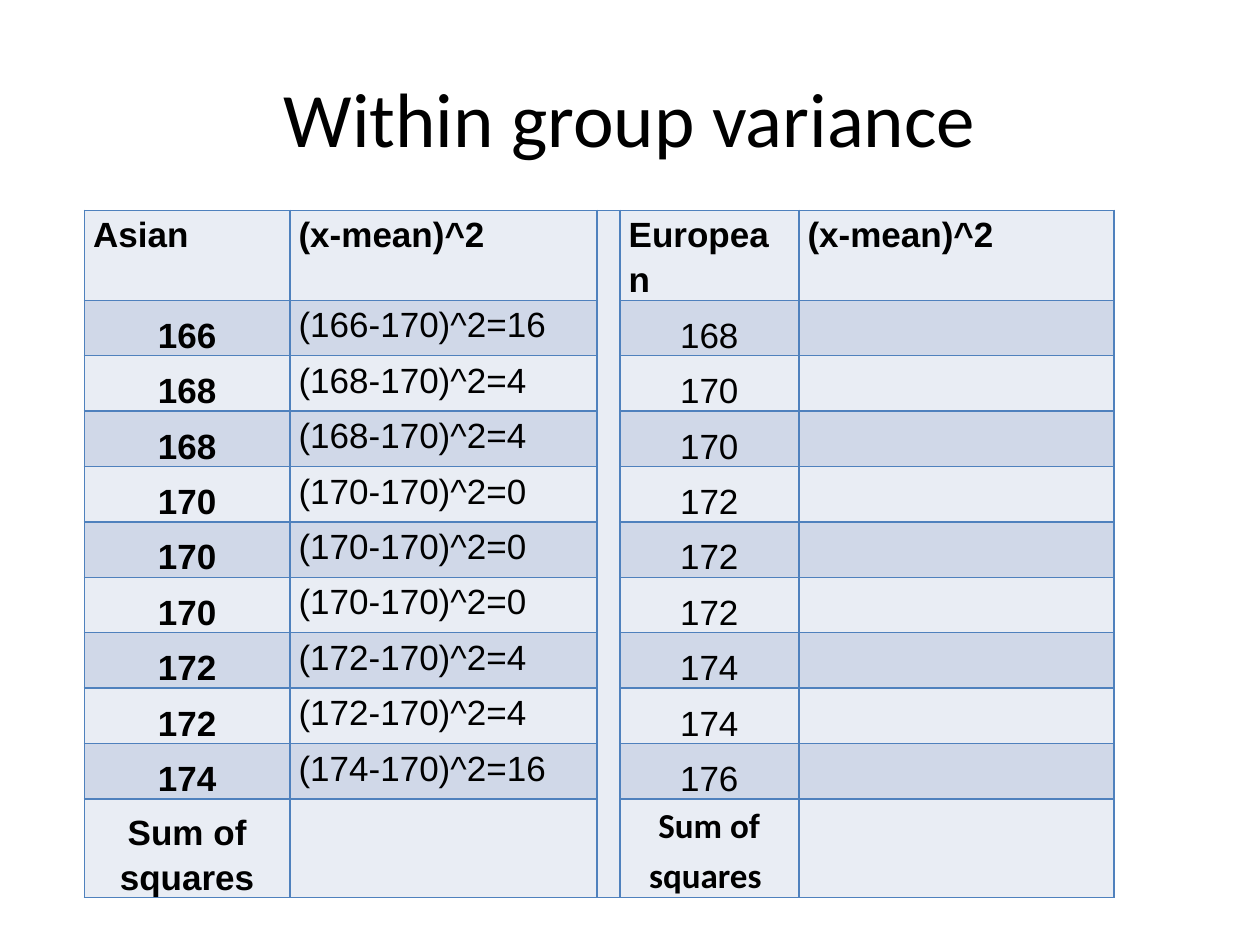
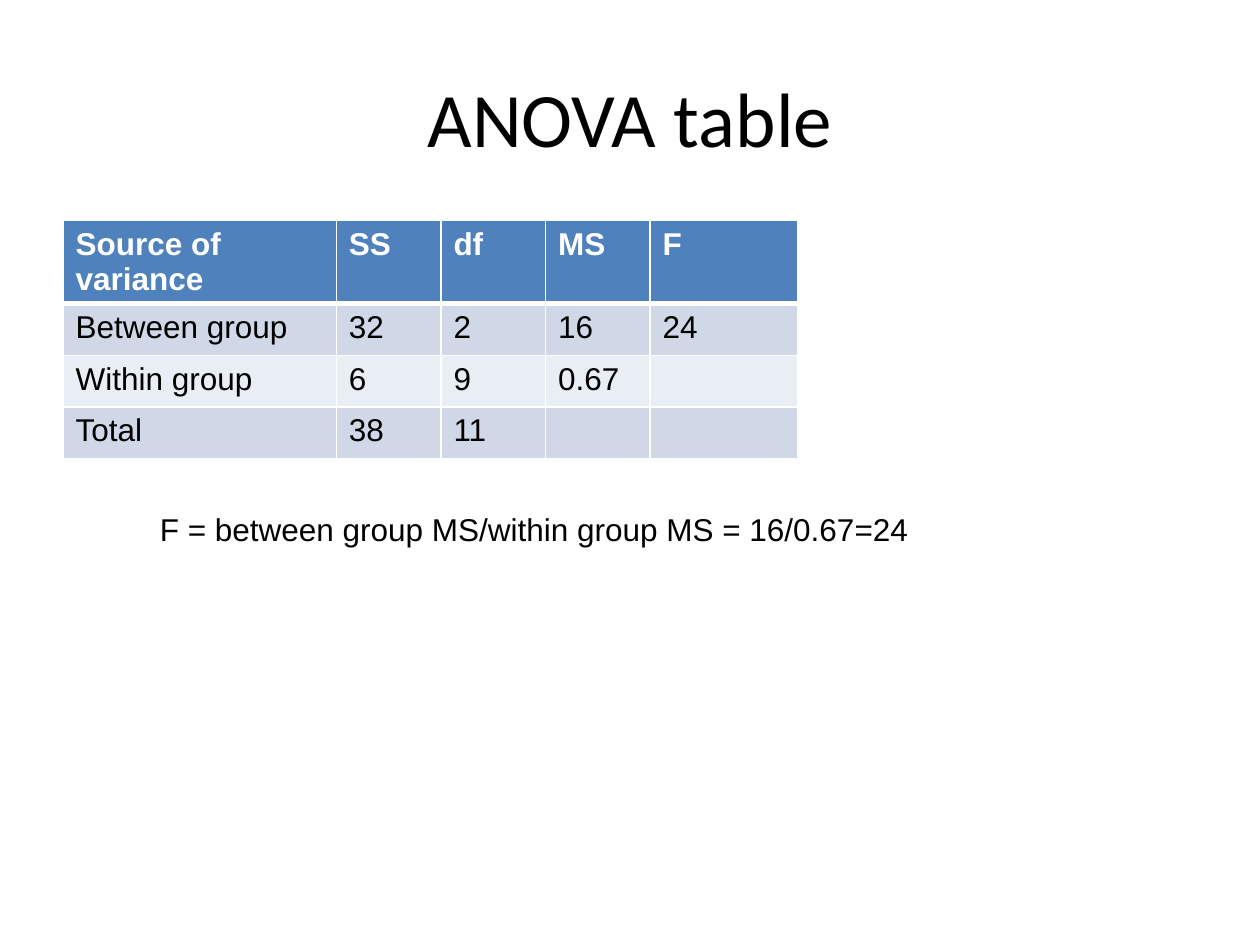
from lxml import etree
from pptx import Presentation
from pptx import util as u
from pptx.dml.color import RGBColor
from pptx.enum import text
from pptx.oxml.ns import qn

COLORS = {
    "ink": "000000",
    "paper": "FFFFFF",
    "accent": "4F81BD",
    "band": "D0D8E8",
    "light": "E9EDF4",
}
WIDTH, HEIGHT = 10, 7.5
MARGIN = 0.05 * WIDTH

deck = Presentation()
deck.slide_width, deck.slide_height = u.Inches(WIDTH), u.Inches(HEIGHT)


def style_font(paragraph, size, color="ink", bold=False, face="Arial"):
    font = paragraph.font
    font.size, font.bold, font.name = u.Pt(size), bold, face
    font.color.rgb = RGBColor.from_string(COLORS[color])


def paint_cell(cell, fill, line, top=1, bottom=1):
    """Fill a cell and draw its four borders, with widths in points."""
    cell.fill.solid()
    cell.fill.fore_color.rgb = RGBColor.from_string(COLORS[fill])
    properties = cell._tc.get_or_add_tcPr()
    sides = {"a:lnL": 1, "a:lnR": 1, "a:lnT": top, "a:lnB": bottom}
    for place, (side, width) in enumerate(sides.items()):
        border = etree.Element(qn(side), w=str(u.Pt(width)))
        solid = etree.SubElement(border, qn("a:solidFill"))
        etree.SubElement(solid, qn("a:srgbClr"), val=COLORS[line])
        properties.insert(place, border)


# Rows of both tables
asian = [166, 168, 168, 170, 170, 170, 172, 172, 174]
european = [168, 170, 170, 172, 172, 172, 174, 174, 176]
asian_mean = sum(asian) // len(asian)
deviations = [["Asian", "(x-mean)^2", "", "European", "(x-mean)^2"]]
for a, e in zip(asian, european):
    square = f"({a}-{asian_mean})^2={(a - asian_mean) ** 2}"
    deviations.append([str(a), square, "", str(e), ""])
deviations.append(["Sum of squares", "", "", "Sum of squares ", ""])

anova = [
    ["Source of variance", "SS", "df", "MS", "F"],
    ["Between group", "32", "2", "16", "24"],
    ["Within group", "6", "9", "0.67", ""],
    ["Total", "38", "11", "", ""],
]

pages = [
    ("Within group variance", deviations, (0.67, 1.67),
     [1.63, 2.44, 0.18, 1.42, 2.5], [0.41] + [0.44] * 9 + [0.77]),
    ("ANOVA table", anova, (MARGIN, 1.75),
     [2.17, 0.83, 0.83, 0.83, 1.17], [0.41] * 4),
]

# Titles and empty grids
slides, tables = [], []
for heading, rows, (left, top), widths, heights in pages:
    slide = deck.slides.add_slide(deck.slide_layouts[5])
    title = slide.shapes.title
    title.left, title.top = u.Inches(MARGIN), u.Inches(0.04 * HEIGHT)
    title.width, title.height = u.Inches(WIDTH - 2 * MARGIN), u.Inches(HEIGHT / 6)
    title.text_frame.text = heading
    title.text_frame.vertical_anchor = text.MSO_ANCHOR.MIDDLE
    title.text_frame.paragraphs[0].alignment = text.PP_ALIGN.CENTER
    style_font(title.text_frame.paragraphs[0], 44, face="Calibri")

    table = slide.shapes.add_table(
        len(rows), len(widths), u.Inches(left), u.Inches(top),
        u.Inches(sum(widths)), u.Inches(sum(heights))).table
    table.first_row = table.horz_banding = False
    for column, width in zip(table.columns, widths):
        column.width = u.Inches(width)
    for row, height in zip(table.rows, heights):
        row.height = u.Inches(height)
    slides.append(slide)
    tables.append(table)

# Squared deviations within each group
deviation_table, anova_table = tables
last = len(deviations) - 1
for r, row in enumerate(deviations):
    for c, words in enumerate(row):
        cell = deviation_table.cell(r, c)
        paint_cell(cell, "band" if r % 2 and c != 2 else "light", "accent")
        cell.margin_left = cell.margin_right = u.Inches(0.07)
        cell.margin_top = cell.margin_bottom = 0
        if not words:
            continue
        cell.text = words
        paragraph = cell.text_frame.paragraphs[0]
        paragraph.line_spacing = 1.15
        bold = c == 0 or r in (0, last)
        face = "Calibri" if (r, c) == (last, 3) else "Arial"
        style_font(paragraph, 20, bold=bold, face=face)
        if r and c in (0, 3):
            cell.vertical_anchor = text.MSO_ANCHOR.BOTTOM
            paragraph.alignment = text.PP_ALIGN.CENTER
deviation_table.cell(0, 2).merge(deviation_table.cell(last, 2))

# Analysis of variance
for r, row in enumerate(anova):
    fill = "accent" if r == 0 else "band" if r % 2 else "light"
    for c, words in enumerate(row):
        cell = anova_table.cell(r, c)
        paint_cell(cell, fill, "paper", top=3 if r == 1 else 1,
                   bottom=3 if r == 0 else 1)
        cell.text = words
        style_font(cell.text_frame.paragraphs[0], 18,
                   "ink" if r else "paper", bold=r == 0)

formula = slides[1].shapes.add_textbox(
    u.Inches(1.17), u.Inches(4), u.Inches(7.58), u.Inches(0.4)).text_frame
formula.word_wrap = True
formula.auto_size = text.MSO_AUTO_SIZE.SHAPE_TO_FIT_TEXT
formula.text = "F = between group MS/within group MS = 16/0.67=24"
style_font(formula.paragraphs[0], 18)

deck.save("out.pptx")
